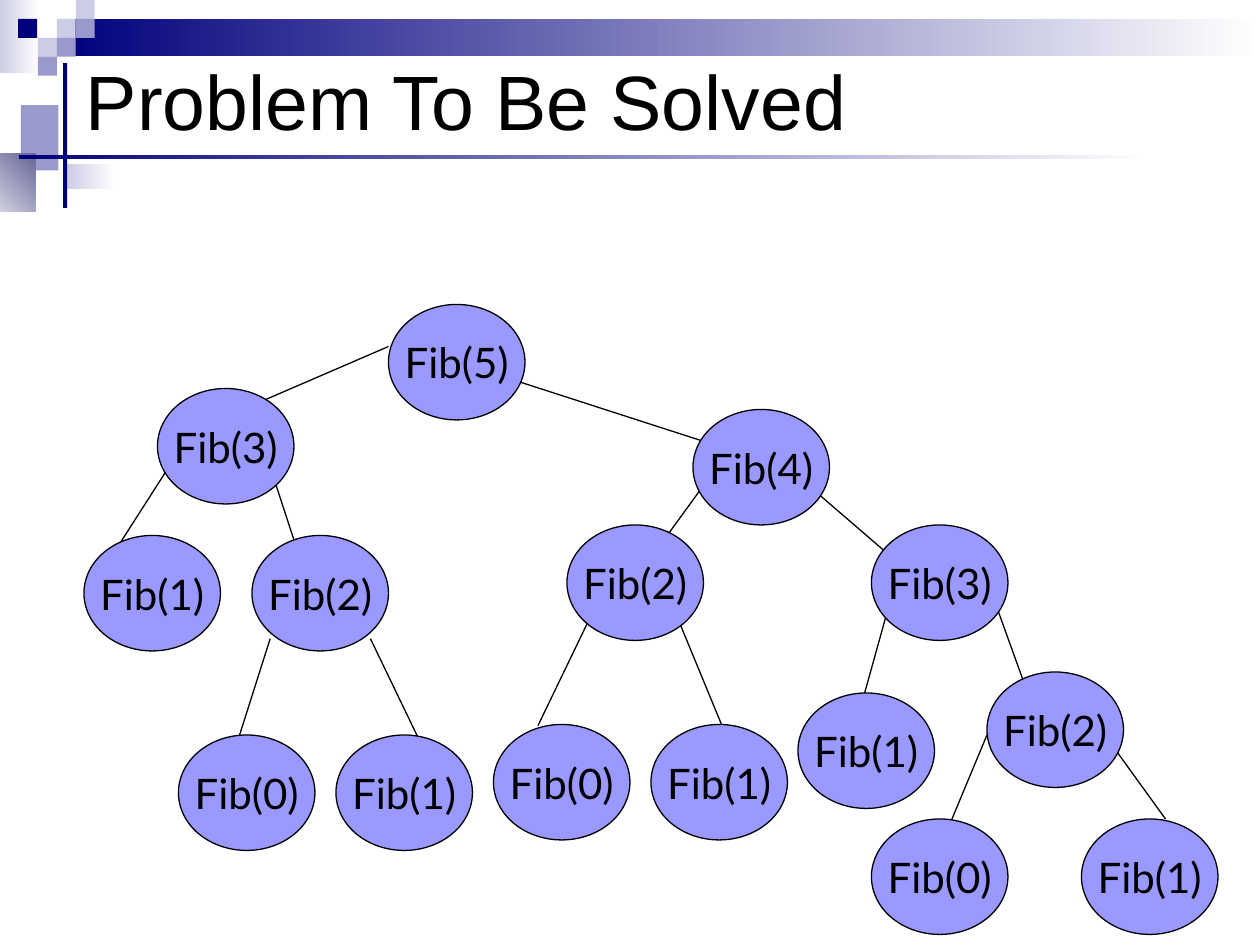
import pptx
import pptx.util
import pptx.dml.color
import pptx.enum.shapes
import pptx.enum.text
import pptx.oxml.ns
from lxml import etree

Pt = pptx.util.Pt
Kind = pptx.enum.shapes.MSO_SHAPE
Align = pptx.enum.text.PP_ALIGN
Anchor = pptx.enum.text.MSO_ANCHOR


def rgb(code):
    return pptx.dml.color.RGBColor.from_string(code)


def write(frame, text, font, size):
    """Add one black run, centred vertically in its frame."""
    frame.vertical_anchor = Anchor.MIDDLE
    run = frame.paragraphs[0].add_run()
    run.text = text
    run.font.name = font
    run.font.size = Pt(size)
    run.font.color.rgb = rgb("000000")


deck = pptx.Presentation()
deck.slide_width, deck.slide_height = Pt(720), Pt(540)
slide = deck.slides.add_slide(deck.slide_layouts[6])
shapes = slide.shapes

# Decoration: left, top, width, height, colours (two make a gradient), angle
NAVY, MID, PALE, WHITE = "00007D", "9999CC", "CCCCE6", "FFFFFF"
blocks = [
    (0, 0, 22.5, 42, [PALE, WHITE], 0),
    (32.5, 10.8, 687.5, 21.5, [NAVY, WHITE], 0),
    (32.5, 10.8, 10.8, 10.8, [PALE], 0),
    (43.3, 0, 10.8, 10.8, [PALE], 0),
    (43.3, 10.8, 10.8, 10.8, [MID], 0),
    (21.7, 21.6, 10.8, 10.8, [PALE], 0),
    (10.4, 10.8, 10.8, 10.8, [NAVY], 0),
    (32.5, 21.6, 10.8, 10.8, [MID], 0),
    (21.7, 32.4, 10.8, 10.8, [MID], 0),
    (12, 60, 21.4, 37.4, [MID], 0),
    (37.5, 93.6, 28.8, 14.4, [PALE, WHITE], 0),
    (-23.8, 87.8, 44, 33.2, [WHITE, "666699"], 45),
    (36, 36, 2.4, 82.8, [NAVY], 0),
    (10.8, 88.6, 648, 2.2, [NAVY, WHITE], 0),
]
for left, top, width, height, tones, angle in blocks:
    block = shapes.add_shape(Kind.RECTANGLE, Pt(left), Pt(top), Pt(width), Pt(height))
    block.shadow.inherit = False
    block.line.fill.background()
    if len(tones) == 1:
        block.fill.solid()
        block.fill.fore_color.rgb = rgb(tones[0])
    else:
        block.fill.gradient()
        block.fill.gradient_angle = angle
        for stop, tone in zip(block.fill.gradient_stops, tones):
            stop.color.rgb = rgb(tone)

title = shapes.add_textbox(Pt(42), Pt(12), Pt(626), Pt(90))
title.text_frame.word_wrap = True
write(title.text_frame, "Problem To Be Solved", "Arial", 44)

# Tree edges: start x, y, end x, y
edges = [
    (222, 198, 135.4, 235.4),
    (259, 206, 412.6, 255.6),
    (97.2, 265.7, 59, 325.4),
    (154, 265.7, 173.5, 325.4),
    (154.4, 365, 135.4, 424.8),
    (211.7, 365, 240.5, 424.8),
    (336.2, 355, 307.4, 414.7),
    (383.8, 344.9, 412.6, 414.7),
    (508.3, 344.9, 488.9, 414.7),
    (565.2, 334.8, 594, 414.7),
    (403.2, 275.8, 374.4, 315.4),
    (460.1, 275.8, 517.7, 325.4),
    (564, 420, 537.1, 484.6),
    (635.8, 426.2, 666, 468),
]
for ends in edges:
    edge = shapes.add_connector(
        pptx.enum.shapes.MSO_CONNECTOR.STRAIGHT, *[Pt(end) for end in ends])
    edge.line.color.rgb = rgb("000000")
    edge.line.width = Pt(0.75)
    etree.SubElement(edge._element.spPr, pptx.oxml.ns.qn("a:effectLst"))

# Tree nodes: Fibonacci index, left, top
nodes = [
    (5, 222, 174), (3, 90, 222), (1, 48, 306), (2, 144, 306), (0, 102, 420),
    (1, 192, 420), (0, 282, 414), (1, 372, 414), (1, 456, 396), (2, 564, 384),
    (0, 498, 468), (1, 618, 468), (3, 498, 300), (4, 396, 234), (2, 324, 300),
]
for index, left, top in nodes:
    node = shapes.add_shape(Kind.OVAL, Pt(left), Pt(top), Pt(78), Pt(66))
    node.shadow.inherit = False
    node.fill.solid()
    node.fill.fore_color.rgb = rgb("9999FF")
    node.line.color.rgb = rgb("000000")
    node.line.width = Pt(0.75)
    node.text_frame.word_wrap = False
    node.text_frame.paragraphs[0].alignment = Align.CENTER
    write(node.text_frame, f"Fib({index})", "Lato", 24)

deck.save("out.pptx")
